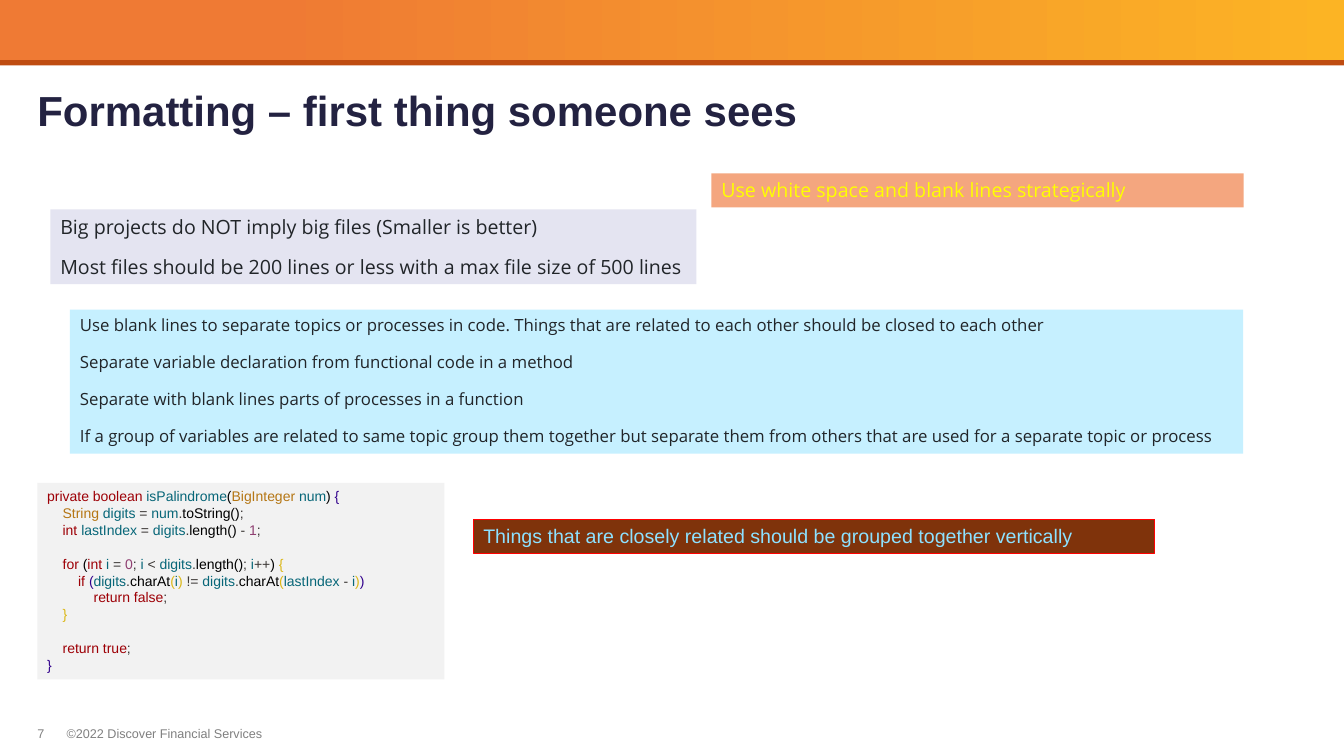
from lxml.etree import SubElement
from pptx import Presentation
from pptx.dml.color import RGBColor
from pptx.enum.shapes import MSO_SHAPE
from pptx.enum.text import MSO_ANCHOR, MSO_AUTO_SIZE, PP_ALIGN
from pptx.oxml.ns import qn
from pptx.util import Cm, Pt

HUES = {
    "rust": "BF4C11", "amber": "FCB424", "orange": "EF7A34",
    "navy": "232241", "gray": "808080", "ink": "212529",
    "peach": "F4A67F", "yellow": "FFFF00", "lilac": "E4E4F1",
    "sky": "C6F0FF", "smoke": "F2F2F2", "brown": "7F330B",
    "line": "FF0000", "ice": "8DE1FF",
    "red": "9D0006", "teal": "076678", "black": "000000",
    "tan": "B57614", "blue": "31008C", "dark": "3C3836",
    "plum": "8F3F71", "gold": "DBB715",
}

CODE = [
    "red:private boolean |teal:isPalindrome|black:(|tan:BigInteger |teal:num|black:) |blue:{",
    "tan:    String |teal:digits |dark:= |teal:num|dark:.|black:toString()|dark:;",
    "red:    int |teal:lastIndex |dark:= |teal:digits|dark:.|black:length() |dark:- |plum:1|dark:;",
    "",
    "red:    for |black:(|red:int |teal:i |dark:= |plum:0|dark:; |teal:i |dark:< |teal:digits"
    "|dark:.|black:length()|dark:; |teal:i|dark:++|black:) |gold:{",
    "red:        if |blue:(|teal:digits|dark:.|black:charAt|gold:(|teal:i|gold:) |dark:!= "
    "|teal:digits|dark:.|black:charAt|gold:(|teal:lastIndex |dark:- |teal:i|gold:)|blue:)",
    "red:            return false|dark:;",
    "gold:    }",
    "",
    "red:    return true|dark:;",
    "blue:}",
]


def color(name):
    return RGBColor.from_string(HUES[name])


def write(para, text, face="Arial", size=14, hue="ink", bold=False):
    run = para.add_run()
    run.text = text
    font = run.font
    font.name, font.size, font.bold = face, Pt(size), bold
    font.color.rgb = color(hue)


def place(shape, box):
    shape.left, shape.top, shape.width, shape.height = map(Cm, box)


def panel(slide, box, fill, line=None):
    shape = slide.shapes.add_shape(MSO_SHAPE.RECTANGLE, *map(Cm, box))
    shape.shadow.inherit = False
    shape.fill.solid()
    shape.fill.fore_color.rgb = color(fill)
    if line:
        shape.line.color.rgb = color(line)
        shape.line.width = Pt(0.75)
    else:
        shape.line.fill.background()
    return shape


def fill_list(shape, items, **style):
    frame = shape.text_frame
    frame.word_wrap = True
    frame.auto_size = MSO_AUTO_SIZE.NONE
    frame.vertical_anchor = MSO_ANCHOR.TOP
    for spot, item in enumerate(items):
        para = frame.add_paragraph() if spot else frame.paragraphs[0]
        props = para._p.get_or_add_pPr()
        props.set("marL", "0")
        props.set("indent", "0")
        SubElement(props, qn("a:buNone"))
        para.alignment = PP_ALIGN.LEFT
        para.space_before = Pt(6 if spot else 0)
        para.space_after = Pt(6)
        write(para, item, **style)


def banner(slide, box):
    left, top, width, height = box
    panel(slide, box, "rust")
    fill = panel(slide, (left, top, width, height - 0.13), "orange").fill
    fill.gradient()
    fill.gradient_angle = 180
    for stop, (hue, spot) in zip(fill.gradient_stops, (("amber", 0), ("orange", 0.8))):
        stop.color.rgb = color(hue)
        stop.position = spot


def heading(slide, box, text):
    title = slide.shapes.title
    place(title, box)
    frame = title.text_frame
    frame.word_wrap = True
    frame.auto_size = MSO_AUTO_SIZE.NONE
    frame.vertical_anchor = MSO_ANCHOR.MIDDLE
    frame.margin_left = frame.margin_right = frame.margin_bottom = 0
    frame.margin_top = Cm(0.25)
    para = frame.paragraphs[0]
    para.alignment = PP_ALIGN.LEFT
    para.line_spacing = 0.85
    para.space_before = Pt(0)
    write(para, text, size=30, hue="navy", bold=True)


def topics(slide, box, items):
    body = slide.placeholders[1]
    place(body, box)
    body.fill.solid()
    body.fill.fore_color.rgb = color("sky")
    fill_list(body, items, face="Open Sans", size=12)


def listing(slide, box, lines):
    frame = panel(slide, box, "smoke").text_frame
    frame.word_wrap = True
    frame.vertical_anchor = MSO_ANCHOR.TOP
    para = frame.paragraphs[0]
    para.alignment = PP_ALIGN.LEFT
    for spot, line in enumerate(lines):
        if spot:
            para.add_line_break()
            SubElement(para._p[-1], qn("a:rPr"), sz="1000")
        for token in filter(None, line.split("|")):
            hue, text = token.split(":")
            write(para, text, size=10, hue=hue)


def footer(slide, box, number, notice):
    left, top, width, height = box
    inset = 0.74
    for start, span, text in ((left, inset, number), (left + inset, width - inset, notice)):
        frame = slide.shapes.add_textbox(Cm(start), Cm(top), Cm(span), Cm(height)).text_frame
        frame.word_wrap = True
        frame.margin_left = frame.margin_right = 0
        frame.margin_top = frame.margin_bottom = 0
        write(frame.paragraphs[0], text, size=9, hue="gray")


def main():
    deck = Presentation()
    deck.slide_width, deck.slide_height = Cm(33.87), Cm(19.05)
    slide = deck.slides.add_slide(deck.slide_layouts[1])
    banner(slide, (0, 0, 33.87, 1.65))
    heading(slide, (0.94, 1.65, 32, 2.16), "Formatting – first thing someone sees")
    fill_list(panel(slide, (17.93, 4.37, 13.41, 0.86), "peach"),
              ["Use white space and blank lines strategically"],
              face="Open Sans", hue="yellow")
    fill_list(panel(slide, (1.27, 5.28, 16.28, 1.88), "lilac"),
              ["Big projects do NOT imply big files (Smaller is better)",
               "Most files should be 200 lines or less with a max file size of 500 lines"],
              face="Open Sans")
    topics(slide, (1.76, 7.8, 29.57, 3.63), [
        "Use blank lines to separate topics or processes in code. Things that are related "
        "to each other should be closed to each other",
        "Separate variable declaration from functional code in a method",
        "Separate with blank lines parts of processes in a function",
        "If a group of variables are related to same topic group them together but separate "
        "them from others that are used for a separate topic or process",
    ])
    listing(slide, (0.94, 12.17, 10.26, 4.95), CODE)
    fill_list(panel(slide, (11.93, 13.08, 17.17, 0.86), "brown", line="line"),
              ["Things that are closely related should be grouped together vertically"],
              hue="ice")
    footer(slide, (0.94, 18.29, 6, 0.38), "7", "©2022 Discover Financial Services")
    deck.save("out.pptx")


if __name__ == "__main__":
    main()
